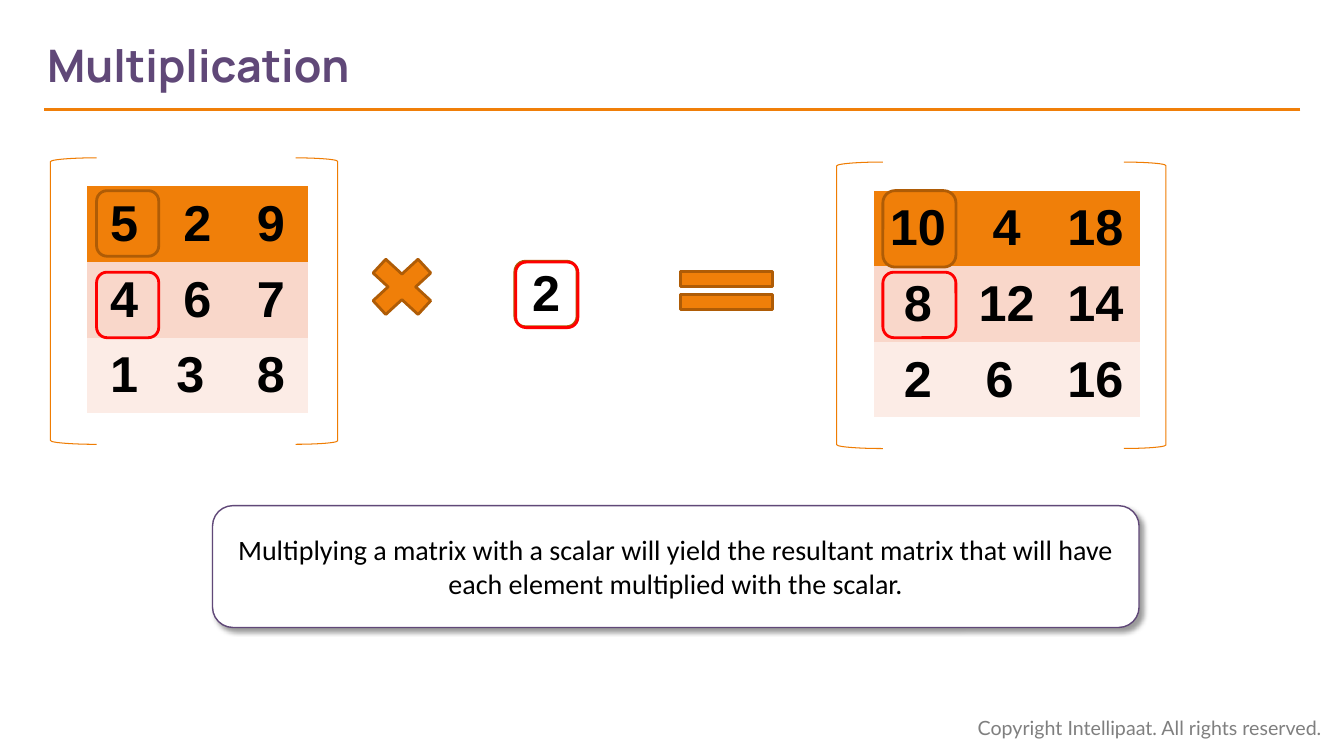
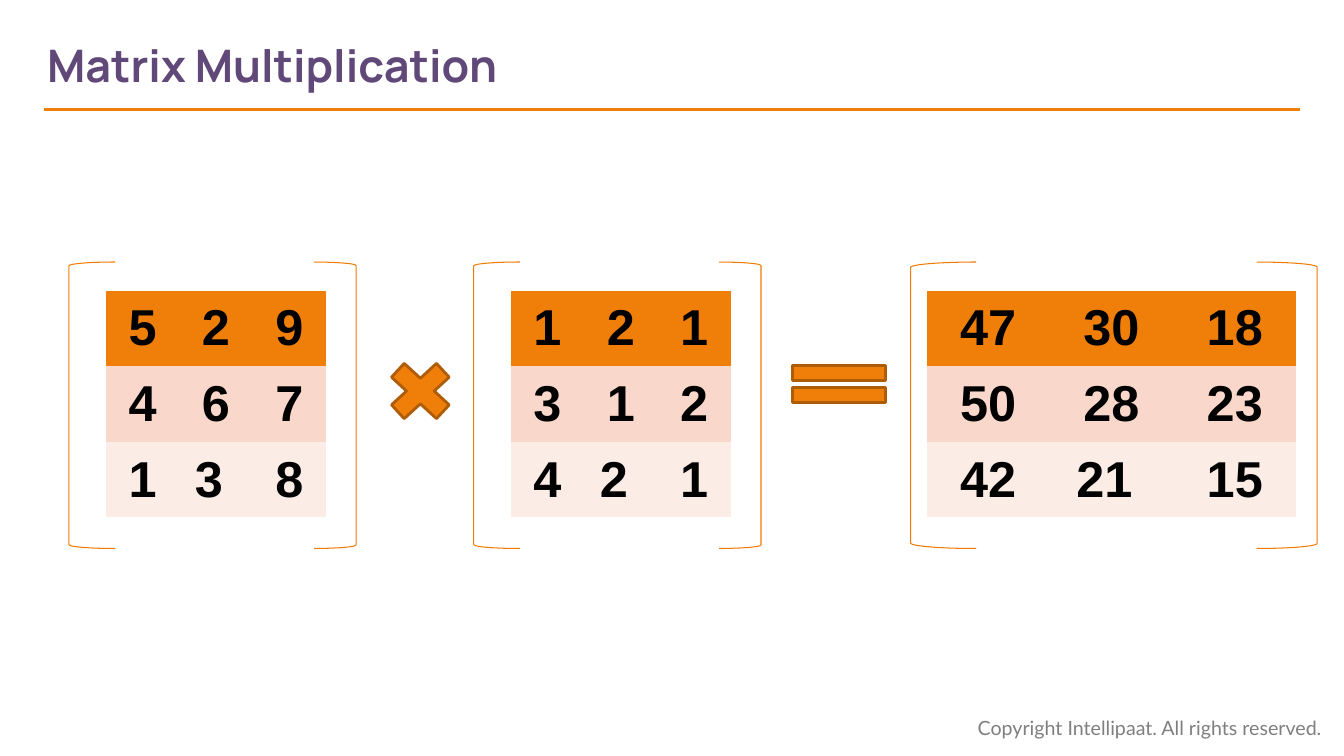
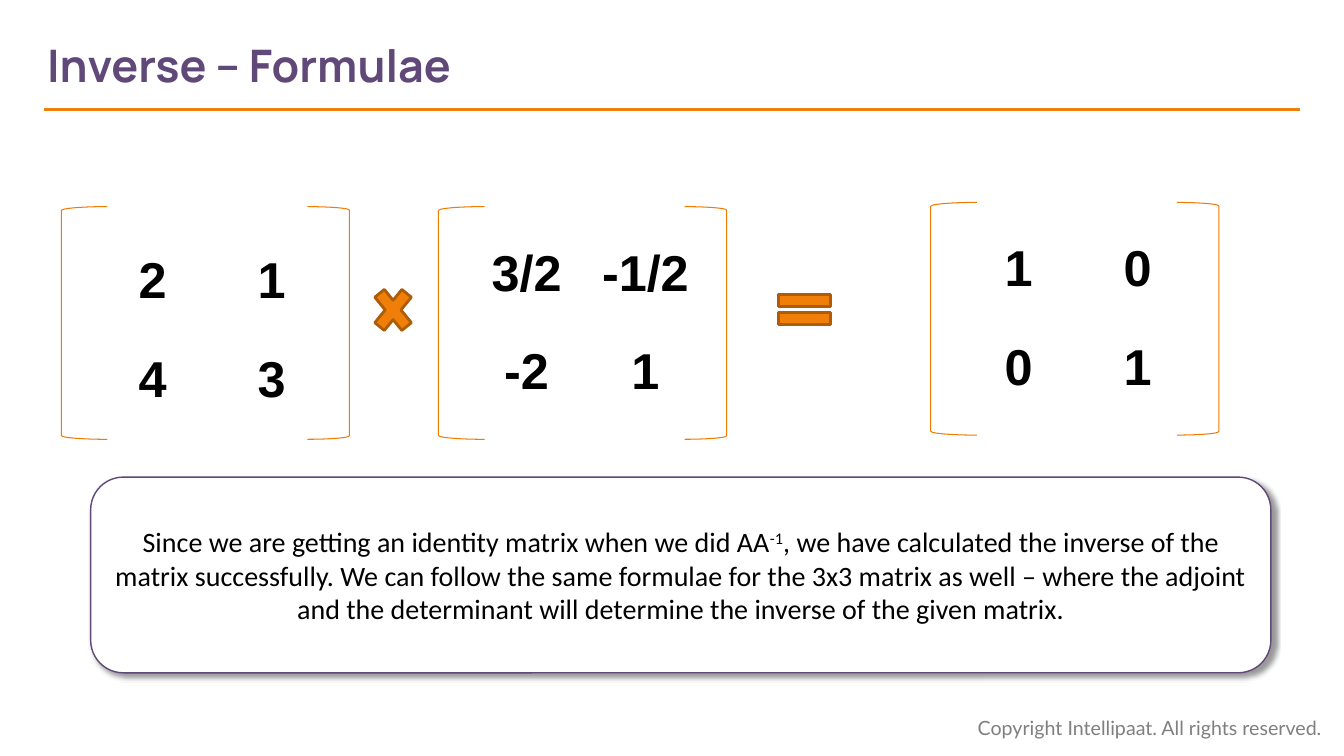
from lxml.etree import SubElement
from pptx import Presentation
from pptx.dml.color import RGBColor
from pptx.enum.shapes import MSO_CONNECTOR, MSO_SHAPE
from pptx.enum.text import MSO_ANCHOR, PP_ALIGN
from pptx.oxml.ns import qn
from pptx.util import Inches, Pt

WIDTH, HEIGHT = 13.33, 7.5
COLUMN, ROW = WIDTH / 80, HEIGHT / 45

ORANGE, DARK_ORANGE, BRACKET = "F07F09", "AF5C06", "EF7C02"
PURPLE, RED, BLACK, WHITE, GREY = "604878", "FF0000", "000000", "FFFFFF", "7F7F7F"
BANDS = (ORANGE, "F9D7CA", "FCECE6")
NO_GRID_STYLE = "{2D5ABB26-0587-4C30-8999-92F81FD0307C}"

NUMBER = dict(font="Arial", size=36, color=BLACK, bold=True, align=PP_ALIGN.CENTER)
BODY = dict(font="Calibri", size=20, color=BLACK, align=PP_ALIGN.CENTER)
TITLE = dict(font="Manrope", size=32, color=PURPLE, bold=True)
FOOTER = dict(font="Lato", size=14, color=GREY)


def rgb(value):
    """Turn a hex string into a colour."""
    return RGBColor.from_string(value)


def place(x, y, w, h):
    """Turn grid columns and rows into slide lengths."""
    return Inches(x * COLUMN), Inches(y * ROW), Inches(w * COLUMN), Inches(h * ROW)


def write(tf, parts, font, size, color, bold=False, align=PP_ALIGN.LEFT):
    """Write one paragraph; every second part is a superscript."""
    p = tf.paragraphs[0]
    p.alignment = align
    for i, part in enumerate(parts):
        r = p.add_run()
        r.text = part
        r.font.name, r.font.size, r.font.bold = font, Pt(size), bold
        r.font.color.rgb = rgb(color)
        if i % 2:
            r.font._element.set("baseline", "30000")


def text_box(s, text, box, style, anchor=MSO_ANCHOR.MIDDLE, left=0.1):
    """Add a wrapped text box."""
    tf = s.shapes.add_textbox(*place(*box)).text_frame
    tf.word_wrap, tf.vertical_anchor, tf.margin_left = True, anchor, Inches(left)
    write(tf, [text], **style)


def shape(s, kind, box, line, weight, fill=None):
    """Add a preset shape with an outline and an optional fill."""
    sp = s.shapes.add_shape(kind, *place(*box))
    sp.shadow.inherit = False
    sp.line.color.rgb, sp.line.width = rgb(line), Pt(weight)
    if fill:
        sp.fill.solid()
        sp.fill.fore_color.rgb = rgb(fill)
    else:
        sp.fill.background()
    return sp


def base_slide(prs, title):
    """Add a slide with its title, rule and footer."""
    s = prs.slides.add_slide(prs.slide_layouts[6])
    text_box(s, "Copyright Intellipaat. All rights reserved.",
             (57.6, 42.3, 22, 2.05), FOOTER, MSO_ANCHOR.TOP)
    x, y, w, h = place(2.65, 6.5, 74.75, 0)
    rule = s.shapes.add_connector(MSO_CONNECTOR.STRAIGHT, x + w, y, x, y)
    rule.line.color.rgb, rule.line.width = rgb(ORANGE), Pt(2.25)
    SubElement(rule._element.spPr, qn("a:effectLst"))
    text_box(s, title, (2.8, 1.3, 56.8, 5.05), TITLE, left=0)
    return s


def matrix(s, rows, frame, inset, cell_size, bands=None, arms=(2.75, 2.5)):
    """Add a table of numbers between two brackets."""
    x, y, w, h = frame
    left_arm, right_arm = arms
    shape(s, MSO_SHAPE.LEFT_BRACKET, (x, y, left_arm, h), BRACKET, 0.75)
    shape(s, MSO_SHAPE.RIGHT_BRACKET, (x + w - right_arm, y, right_arm, h), BRACKET, 0.75)
    columns = len(rows[0])
    box = (x + inset[0], y + inset[1], columns * cell_size[0], len(rows) * cell_size[1])
    table = s.shapes.add_table(len(rows), columns, *place(*box)).table
    table.first_row = table.horz_banding = False
    table._tbl.tblPr.find(qn("a:tableStyleId")).text = NO_GRID_STYLE
    for i, row in enumerate(rows):
        for j, value in enumerate(row):
            cell = table.cell(i, j)
            cell.vertical_anchor = MSO_ANCHOR.MIDDLE
            if bands:
                cell.fill.solid()
                cell.fill.fore_color.rgb = rgb(bands[i])
            else:
                cell.fill.background()
            write(cell.text_frame, [value], **NUMBER)


def operator(s, kind, box):
    """Add a multiply or equal sign."""
    shape(s, kind, box, DARK_ORANGE, 2, ORANGE)


def marker(s, box, color):
    """Outline one number."""
    shape(s, MSO_SHAPE.FLOWCHART_ALTERNATE_PROCESS, box, color, 2)


def callout(s, parts, box):
    """Add a rounded explanation box with a soft shadow."""
    sp = shape(s, MSO_SHAPE.ROUNDED_RECTANGLE, box, PURPLE, 1, WHITE)
    effects = sp._element.spPr.find(qn("a:effectLst"))
    shadow = SubElement(effects, qn("a:outerShdw"), blurRad=str(Pt(4)), dist=str(Pt(3)),
                        dir="2700000", algn="tl", rotWithShape="0")
    color = SubElement(shadow, qn("a:srgbClr"), val=BLACK)
    SubElement(color, qn("a:alpha"), val="40000")
    tf = sp.text_frame
    tf.word_wrap, tf.vertical_anchor = True, MSO_ANCHOR.MIDDLE
    write(tf, parts, **BODY)


def scalar_slide(prs, factor):
    """Build the slide on scalar multiplication."""
    s = base_slide(prs, "Multiplication")
    matrix(s, factor, (3, 9.4, 17.1, 17.05), (2.2, 1.7), (4.37, 4.5), BANDS)
    product = [("10", "4", "18"), ("8", "12", "14"), ("2", "6 ", "16")]
    matrix(s, product, (49.8, 9.65, 19.6, 17.05), (2.2, 1.7), (5.28, 4.5), BANDS)
    operator(s, MSO_SHAPE.MATH_MULTIPLY, (21.35, 14.7, 5.15, 4.75))
    operator(s, MSO_SHAPE.MATH_EQUAL, (39.5, 15.4, 7.5, 3.8))
    text_box(s, "2", (29.6, 15.2, 5.8, 4.25), NUMBER)
    for box, color in (
        ((5.75, 11.35, 3.7, 3.9), DARK_ORANGE),
        ((52.55, 11.35, 4.35, 4.55), DARK_ORANGE),
        ((30.65, 15.55, 3.7, 3.9), DARK_ORANGE),
        ((5.75, 16.2, 3.7, 3.9), RED),
        ((30.7, 15.6, 3.7, 3.9), RED),
        ((52.55, 16.2, 4.35, 3.9), RED),
    ):
        marker(s, box, color)
    callout(s, ["Multiplying a matrix with a scalar will yield the resultant matrix "
                "that will have each element multiplied with the scalar."],
            (12.65, 30.1, 55.15, 7.25))


def product_slide(prs, factor):
    """Build the slide on the product of two matrices."""
    s = base_slide(prs, "Matrix Multiplication")
    second = [("1", "2", "1"), ("3", "1", "2"), ("4", "2 ", "1")]
    for x, rows in ((4.1, factor), (28.2, second)):
        matrix(s, rows, (x, 15.6, 17.1, 17.05), (2.2, 1.7), (4.37, 4.5), BANDS)
    product = [("47", "30", "18"), ("50", "28", "23"), ("42", "21 ", "15")]
    matrix(s, product, (54.2, 15.6, 24.2, 17.05), (0.95, 1.7), (7.34, 4.5), BANDS, (3.9, 3.6))
    operator(s, MSO_SHAPE.MATH_MULTIPLY, (22.45, 20.9, 5.15, 4.75))
    operator(s, MSO_SHAPE.MATH_EQUAL, (46.2, 20.95, 7.5, 3.8))


def inverse_slide(prs):
    """Build the slide that checks the inverse."""
    s = base_slide(prs, "Inverse – Formulae")
    for rows, x, y, inset in (
        ([("2", "1"), ("4", "3")], 3.65, 12.3, (1.9, 1.5)),
        ([("3/2", "-1/2"), ("-2", "1")], 26.1, 12.3, (1.7, 1.05)),
        ([("1", "0"), ("0", "1")], 55.4, 12.05, (1.7, 1.05)),
    ):
        matrix(s, rows, (x, y, 17.15, 13.85), inset, (7.08, 5.87))
    operator(s, MSO_SHAPE.MATH_MULTIPLY, (21.85, 16.55, 3.1, 3.8))
    operator(s, MSO_SHAPE.MATH_EQUAL, (45.8, 16.9, 4.2, 3.05))
    callout(s, ["Since we are getting an identity matrix when we did AA", "-1",
                ", we have calculated the inverse of the matrix successfully. We can follow "
                "the same formulae for the 3x3 matrix as well – where the adjoint and the "
                "determinant will determine the inverse of the given matrix."],
            (5.4, 28.4, 70.25, 11.65))


def main():
    """Build and save the slides."""
    prs = Presentation()
    prs.slide_width, prs.slide_height = Inches(WIDTH), Inches(HEIGHT)
    factor = [("5", "2", "9"), ("4", "6", "7"), ("1", "3 ", "8")]
    scalar_slide(prs, factor)
    product_slide(prs, factor)
    inverse_slide(prs)
    prs.save("out.pptx")


if __name__ == "__main__":
    main()
